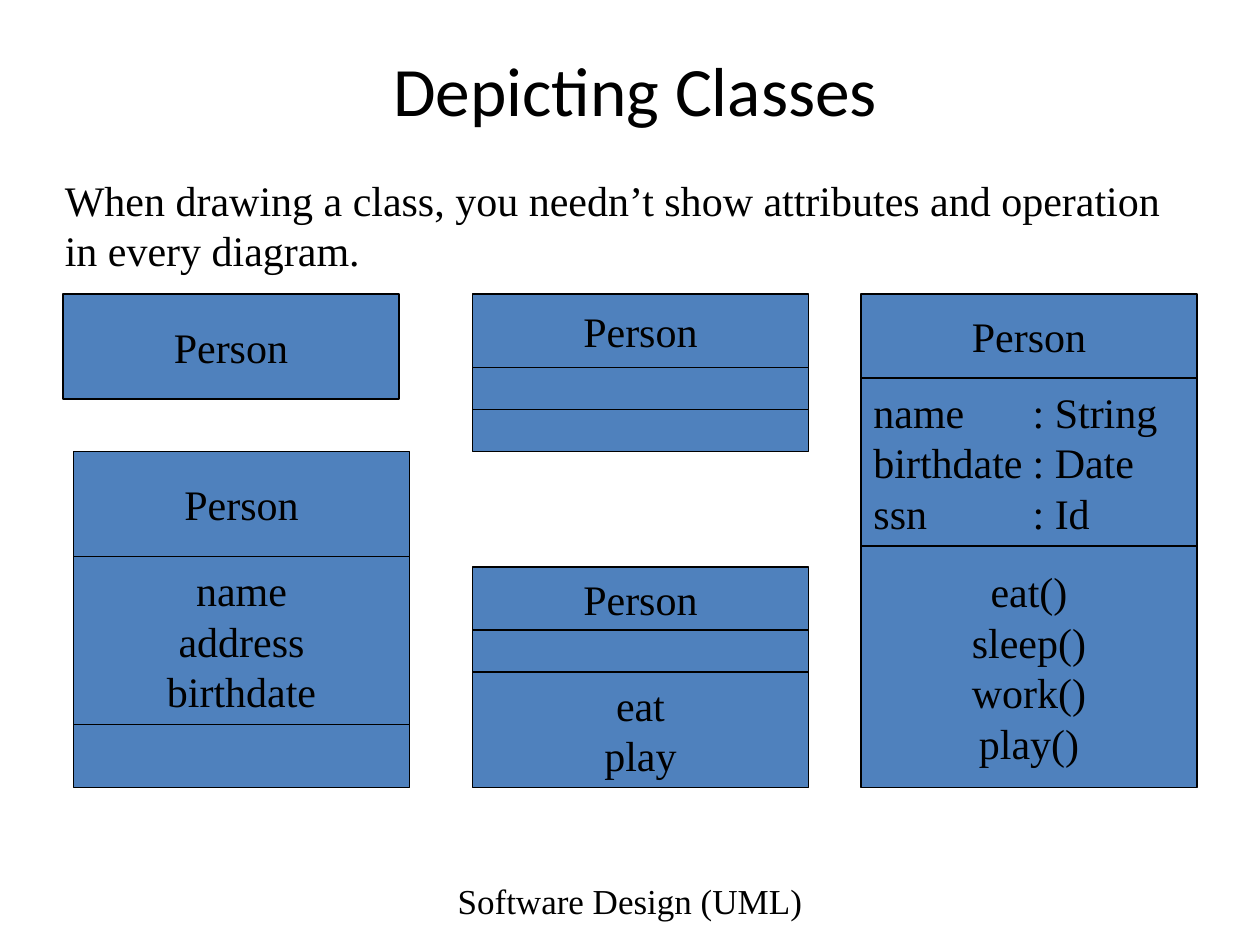
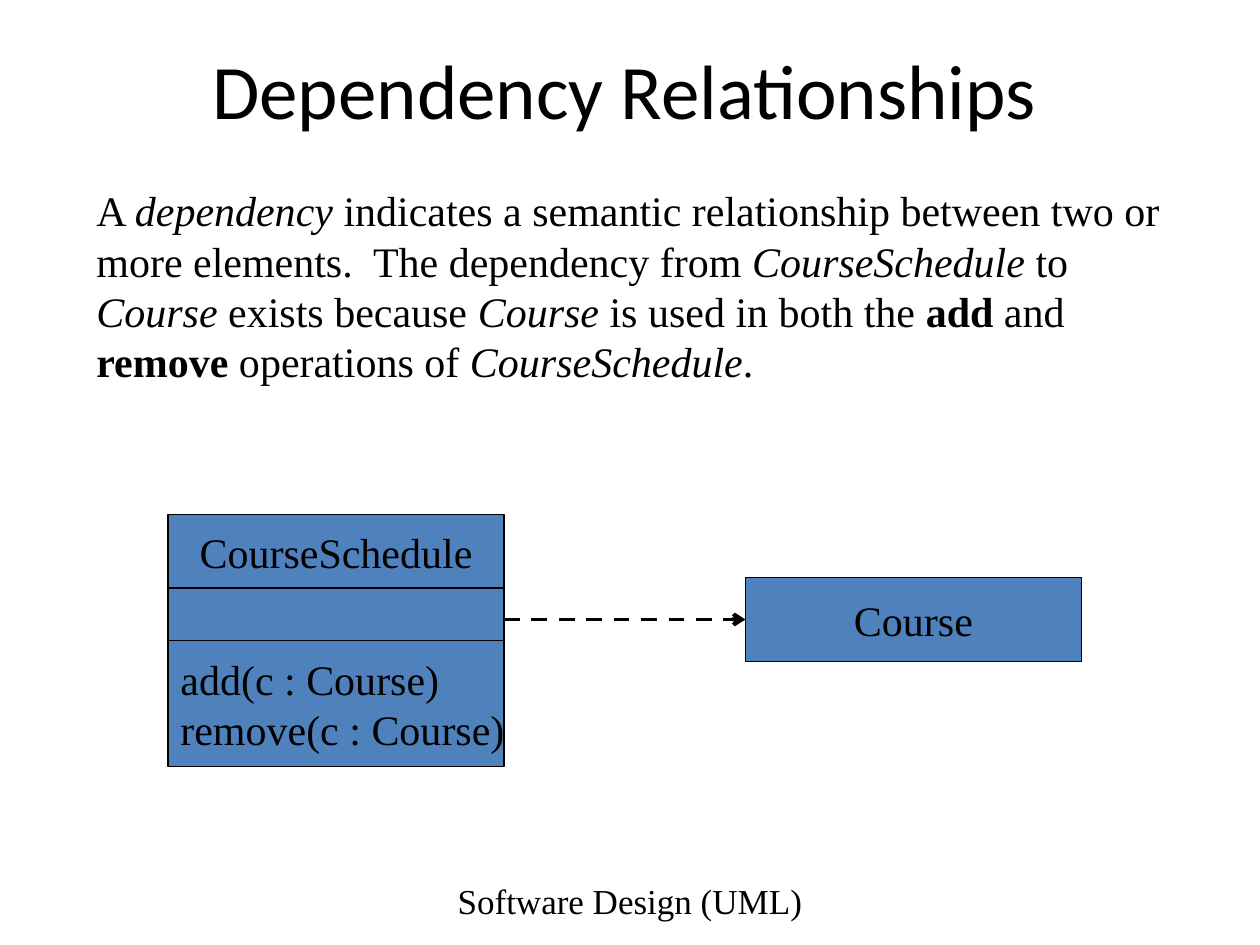
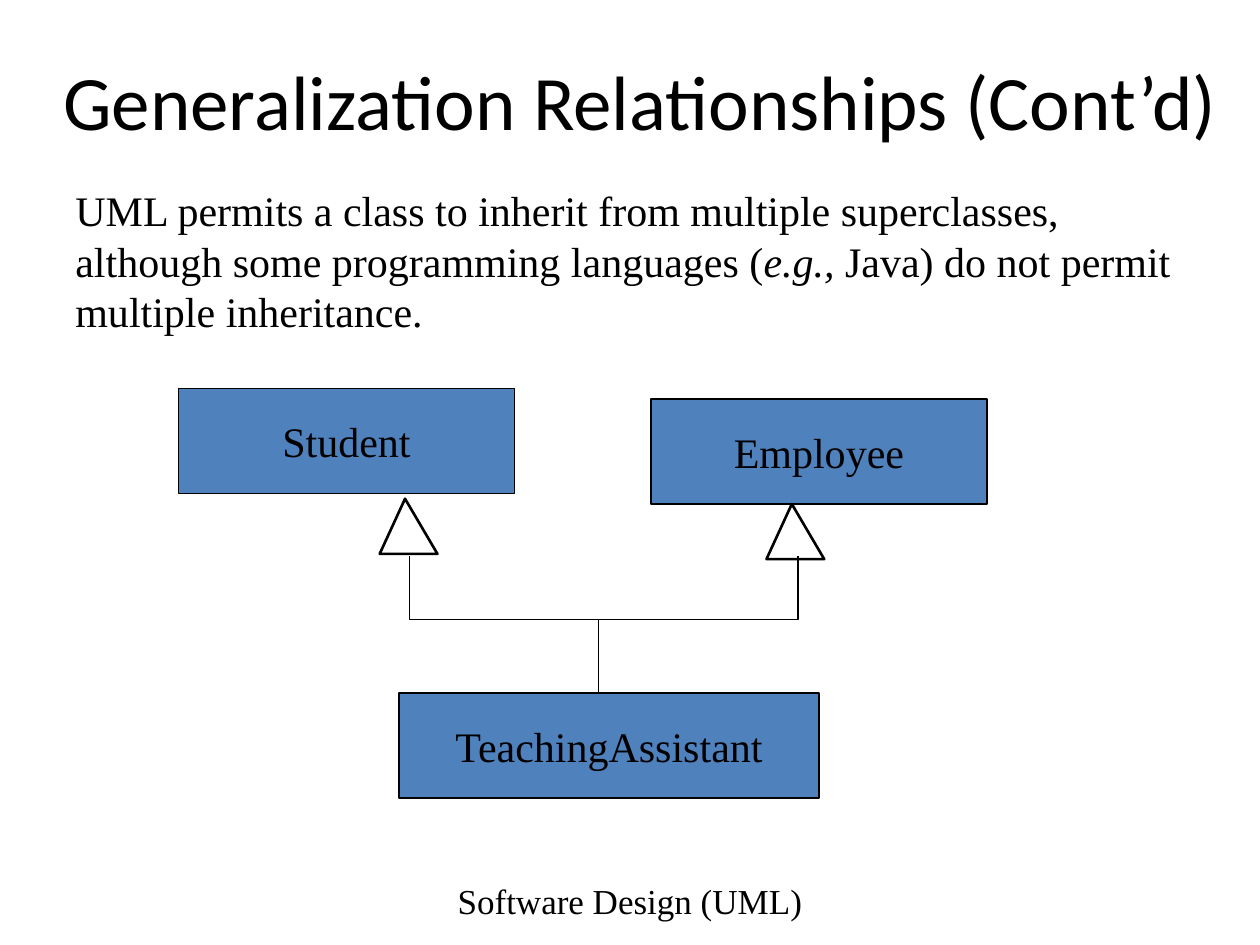
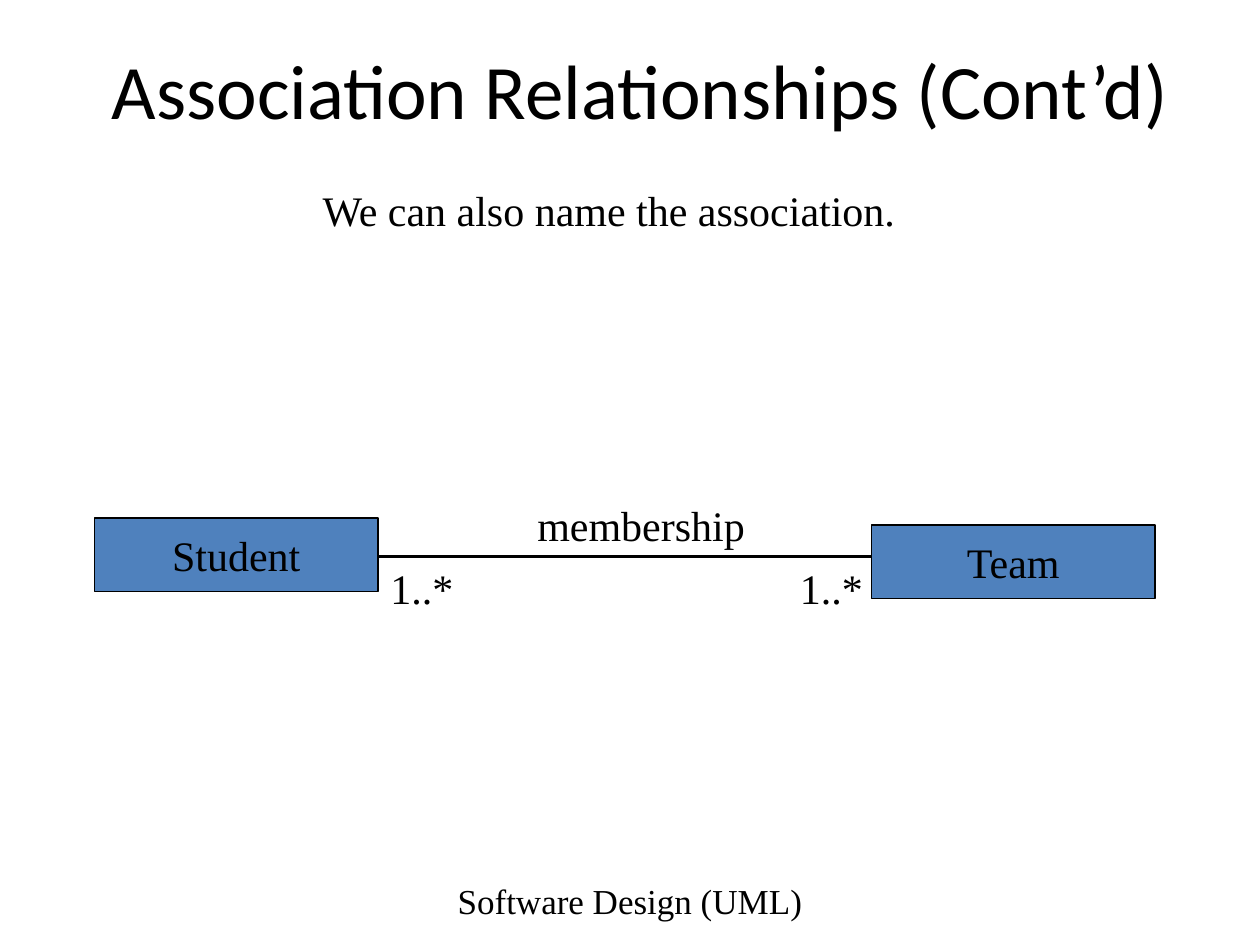
from lxml import etree
from pptx import Presentation
from pptx.dml.color import RGBColor
from pptx.enum.dml import MSO_LINE
from pptx.enum.shapes import MSO_CONNECTOR, MSO_SHAPE
from pptx.enum.text import MSO_ANCHOR, PP_ALIGN
from pptx.oxml.ns import qn
from pptx.util import Pt

RECT = MSO_SHAPE.RECTANGLE
STRAIGHT = MSO_CONNECTOR.STRAIGHT
DASH = MSO_LINE.DASH
TOP, MIDDLE = MSO_ANCHOR.TOP, MSO_ANCHOR.MIDDLE
LEFT, CENTER = PP_ALIGN.LEFT, PP_ALIGN.CENTER

COLORS = {"ink": "000000", "box": "4F81BD", "paper": "FFFFFF"}
TITLE_FONT, BODY_FONT = "Calibri", "Times New Roman"
BODY_SIZE = 24
CLASS_WIDTH = 192
FOOTER = "Software Design (UML)"


def color(name):
    return RGBColor.from_string(COLORS[name])


def write(tf, paragraphs, align=LEFT, size=BODY_SIZE, font=BODY_FONT):
    for i, runs in enumerate(paragraphs):
        p = tf.paragraphs[0] if i == 0 else tf.add_paragraph()
        p.alignment = align
        for text, style in [(runs, "")] if isinstance(runs, str) else runs:
            r = p.add_run()
            r.text = text
            r.font.name, r.font.size = font, Pt(size)
            r.font.color.rgb = color("ink")
            r.font.italic = style == "i"
            r.font.bold = style == "b"


def set_tab(p, position):
    tabs = etree.SubElement(p._p.get_or_add_pPr(), qn("a:tabLst"))
    etree.SubElement(tabs, qn("a:tab"), pos=str(Pt(position)), algn="l")


def text_box(s, box, paragraphs, anchor=TOP, **style):
    tf = s.shapes.add_textbox(*map(Pt, box)).text_frame
    tf.word_wrap = True
    tf.vertical_anchor = anchor
    write(tf, paragraphs, **style)


def outline(shape, width):
    shape.line.color.rgb = color("ink")
    shape.line.width = Pt(width)


def compartment(shapes, box, lines=(), align=CENTER, tab=None):
    sp = shapes.add_shape(RECT, *map(Pt, box))
    sp.shadow.inherit = False
    sp.fill.solid()
    sp.fill.fore_color.rgb = color("box")
    outline(sp, 0.75)
    tf = sp.text_frame
    tf.word_wrap = tab is not None
    tf.vertical_anchor = MIDDLE
    write(tf, lines, align)
    if tab:
        for p in tf.paragraphs:
            set_tab(p, tab)


def class_box(s, left, top, *compartments, width=CLASS_WIDTH):
    shapes = s.shapes
    if len(compartments) > 1:
        shapes = shapes.add_group_shape().shapes
    for height, *content in compartments:
        compartment(shapes, (left, top, width, height), *content)
        top += height


def line(s, start, end, width, dashed_arrow=False):
    c = s.shapes.add_connector(STRAIGHT, *map(Pt, start + end))
    outline(c, width)
    if dashed_arrow:
        c.line.dash_style = DASH
        etree.SubElement(c.line._get_or_add_ln(), qn("a:tailEnd"), type="arrow")
    etree.SubElement(c._element.spPr, qn("a:effectLst"))


def outline_shape(s, points, width, closed):
    start, *rest = [(Pt(x), Pt(y)) for x, y in points]
    builder = s.shapes.build_freeform(*start)
    builder.add_line_segments(rest, close=closed)
    sp = builder.convert_to_shape()
    sp.shadow.inherit = False
    if closed:
        sp.fill.solid()
        sp.fill.fore_color.rgb = color("paper")
    else:
        sp.fill.background()
    outline(sp, width)


def inheritance_triangle(s, left, top):
    points = [(left + 14.5, top), (left, top + 31.5), (left + 33, top + 31.5)]
    outline_shape(s, points, 1.5, True)


def new_slide(prs, title, left=48, top=30, width=618, size=44):
    s = prs.slides.add_slide(prs.slide_layouts[6])
    text_box(s, (246, 500.4, 228, 28.8), [FOOTER], MIDDLE, align=CENTER, size=20)
    text_box(s, (left, top, width, 42), [title], MIDDLE,
             align=CENTER, size=size, font=TITLE_FONT)
    return s


def depicting_classes(prs):
    s = new_slide(prs, "Depicting Classes", left=54, size=39.6)
    text_box(s, (30, 96, 657, 65), [
        "When drawing a class, you needn’t show attributes and operation in every diagram."])
    name = ["Person"]
    attributes = ["name\t: String", "birthdate\t: Date", "ssn\t: Id"]
    operations = ["eat()", "sleep()", "work()", "play()"]
    class_box(s, 492, 168, (48, name), (96, attributes, LEFT, 91), (138, operations))
    class_box(s, 36, 168, (60, name))
    class_box(s, 42, 258, (60, name), (96, ["name", "address", "birthdate"]), (36,))
    class_box(s, 270, 324, (36, name), (24,), (66, ["eat", "play"]))
    class_box(s, 270, 168, (42, name), (24,), (24,))


def dependency(prs):
    s = new_slide(prs, "Dependency Relationships")
    class_box(s, 96, 294, (42, ["CourseSchedule"]), (30,),
              (72, ["add(c : Course)", "remove(c : Course)"], LEFT))
    class_box(s, 426, 330, (48, ["Course"]))
    line(s, (288, 354), (426, 354), 2.25, dashed_arrow=True)
    text_box(s, (48, 102, 639, 151), [
        [("A ", ""), ("dependency", "i"),
         (" indicates a semantic relationship between two or", "")],
        [("more elements.  The dependency from ", ""), ("CourseSchedule", "i"),
         (" to ", ""), ("Course", "i"), (" exists because ", ""), ("Course", "i"),
         (" is used in both the ", ""), ("add", "b"), (" and ", ""), ("remove", "b"),
         (" operations of ", ""), ("CourseSchedule", "i"), (".", "")]])


def generalization(prs):
    s = new_slide(prs, "Generalization Relationships (Cont’d)", left=0, top=36, width=732)
    text_box(s, (36, 102, 642, 94), [
        [("UML permits a class to inherit from multiple superclasses, "
          "although some programming languages (", ""), ("e.g.,", "i"),
         (" Java) do not permit multiple inheritance.", "")]])
    class_box(s, 102, 222, (60, ["Student"]))
    class_box(s, 372, 228, (60, ["Employee"]))
    class_box(s, 228, 396, (60, ["TeachingAssistant"]), width=240)
    line(s, (342, 354), (342, 396), 1)
    inheritance_triangle(s, 217, 285)
    inheritance_triangle(s, 438, 288)
    outline_shape(s, [(234, 318), (234, 354), (456, 354), (456, 318)], 1, False)


def association(prs):
    s = new_slide(prs, "Association Relationships (Cont’d)", width=636)
    text_box(s, (120, 102, 456, 36), ["We can also name the association."], align=CENTER)
    line(s, (216, 318), (504, 318), 2.25)
    class_box(s, 498, 300, (42, ["Team"]), width=162)
    class_box(s, 54, 296, (42, ["Student"]), width=162)
    for left, top, width, label in [(300, 282, 138, "membership"),
                                    (216, 318, 60, "1..*"),
                                    (450, 318, 54, "1..*")]:
        text_box(s, (left, top, width, 36), [label])


def main():
    prs = Presentation()
    prs.slide_width, prs.slide_height = Pt(720), Pt(540)
    for build in (depicting_classes, dependency, generalization, association):
        build(prs)
    prs.save("out.pptx")


if __name__ == "__main__":
    main()
